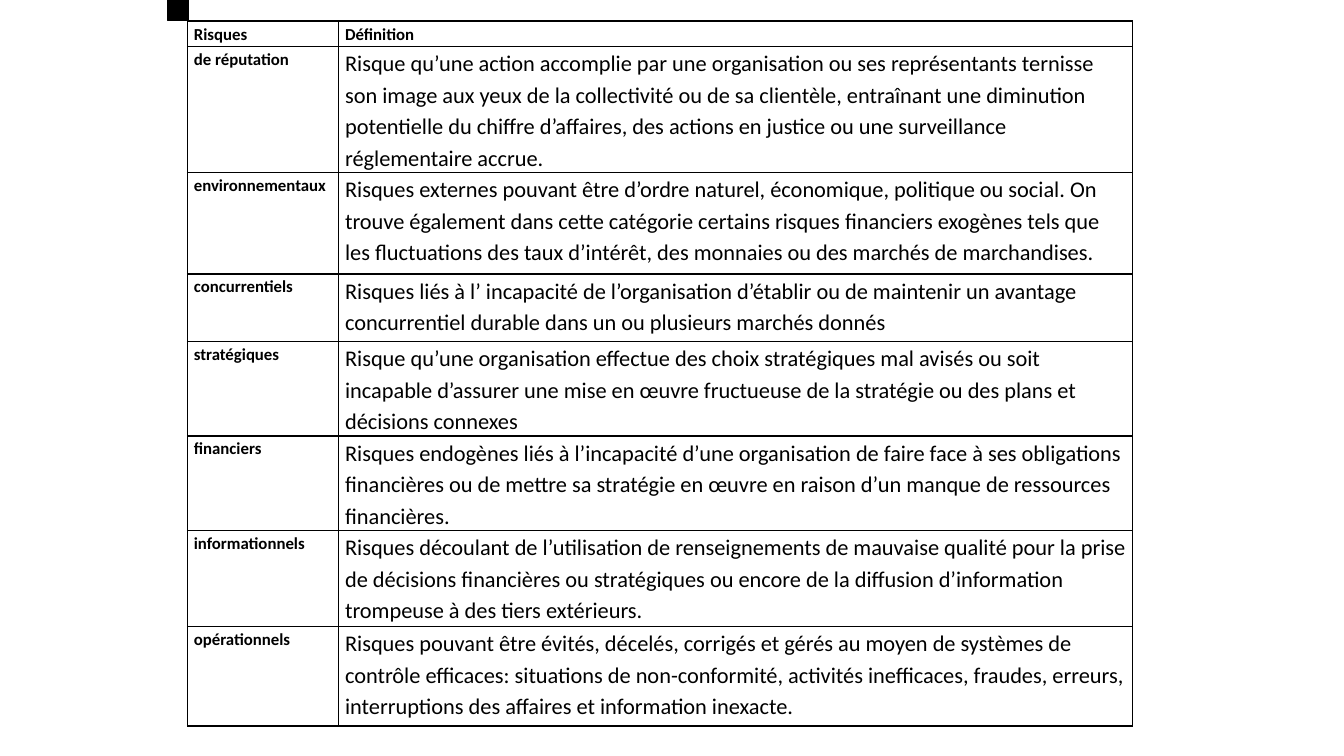
from dataclasses import dataclass

from lxml.etree import SubElement
from pptx import Presentation
from pptx.dml.color import RGBColor
from pptx.enum.shapes import MSO_SHAPE as Preset
from pptx.oxml.ns import qn
from pptx.util import Pt


@dataclass(frozen=True)
class Theme:
    font: str = "Calibri"
    ink: str = "000000"
    paper: str = "FFFFFF"
    label_size: int = 12
    definition_size: int = 16
    line_spacing: float = 1.15
    border: float = 1
    side_margin: float = 4.5


THEME = Theme()

HEADINGS = ("Risques", "Définition")
HEADING_HEIGHT = 18
COLUMN_WIDTHS = (108, 567)

# Risk, definition, row height in points
RISKS = [
    ("de réputation",
     "Risque qu’une action accomplie par une organisation ou ses représentants "
     "ternisse son image aux yeux de la collectivité ou de sa clientèle, "
     "entraînant une diminution potentielle du chiffre d’affaires, des actions "
     "en justice ou une surveillance réglementaire accrue.", 88.5),
    ("environnementaux",
     "Risques externes pouvant être d’ordre naturel, économique, politique ou "
     "social. On trouve également dans cette catégorie certains risques "
     "financiers exogènes tels que les fluctuations des taux d’intérêt, des "
     "monnaies ou des marchés de marchandises.", 72.75),
    ("concurrentiels",
     "Risques liés à l’ incapacité de l’organisation d’établir ou de maintenir "
     "un avantage concurrentiel durable dans un ou plusieurs marchés donnés",
     48.25),
    ("stratégiques",
     "Risque qu’une organisation effectue des choix stratégiques mal avisés ou "
     "soit incapable d’assurer une mise en œuvre fructueuse de la stratégie ou "
     "des plans et décisions connexes", 66.25),
    ("financiers",
     "Risques endogènes liés à l’incapacité d’une organisation de faire face à "
     "ses obligations financières ou de mettre sa stratégie en œuvre en raison "
     "d’un manque de ressources financières.", 66.25),
    ("informationnels",
     "Risques découlant de l’utilisation de renseignements de mauvaise qualité "
     "pour la prise de décisions financières ou stratégiques ou encore de la "
     "diffusion d’information trompeuse à des tiers extérieurs.", 68.5),
    ("opérationnels",
     "Risques pouvant être évités, décelés, corrigés et gérés au moyen de "
     "systèmes de contrôle efficaces: situations de non-conformité, activités "
     "inefficaces, fraudes, erreurs, interruptions des affaires et information "
     "inexacte.", 71.25),
]


def color(value):
    return RGBColor.from_string(value)


def add_borders(cell):
    properties = cell._tc.get_or_add_tcPr()
    for side in ("lnL", "lnR", "lnT", "lnB"):
        edge = SubElement(properties, qn(f"a:{side}"), w=str(Pt(THEME.border)))
        fill = SubElement(edge, qn("a:solidFill"))
        SubElement(fill, qn("a:srgbClr"), val=THEME.ink)


def fill_cell(cell, text, size, bold):
    cell.margin_left = cell.margin_right = Pt(THEME.side_margin)
    cell.margin_top = cell.margin_bottom = 0
    add_borders(cell)
    cell.fill.solid()
    cell.fill.fore_color.rgb = color(THEME.paper)

    cell.text_frame.text = text
    paragraph = cell.text_frame.paragraphs[0]
    paragraph.line_spacing = THEME.line_spacing
    font = paragraph.runs[0].font
    font.name = THEME.font
    font.size = Pt(size)
    font.bold = bold
    font.color.rgb = color(THEME.ink)


def add_risk_table(slide, left, top):
    heights = [HEADING_HEIGHT] + [height for _, _, height in RISKS]
    table = slide.shapes.add_table(
        len(heights), len(COLUMN_WIDTHS), Pt(left), Pt(top),
        Pt(sum(COLUMN_WIDTHS)), Pt(sum(heights))).table
    table.horz_banding = False
    for column, width in zip(table.columns, COLUMN_WIDTHS):
        column.width = Pt(width)
    for row, height in zip(table.rows, heights):
        row.height = Pt(height)

    # Heading row
    for cell, heading in zip(table.rows[0].cells, HEADINGS):
        fill_cell(cell, heading, THEME.label_size, True)

    # One row per risk
    for index, (risk, definition, _) in enumerate(RISKS, start=1):
        fill_cell(table.cell(index, 0), risk, THEME.label_size, True)
        fill_cell(table.cell(index, 1), definition, THEME.definition_size, False)


def add_corner_block(slide, left, top, width, height):
    block = slide.shapes.add_shape(
        Preset.RECTANGLE, Pt(left), Pt(top), Pt(width), Pt(height))
    block.shadow.inherit = False
    block.fill.solid()
    block.fill.fore_color.rgb = color(THEME.ink)
    block.line.color.rgb = color(THEME.ink)
    block.line.width = Pt(0.75)


def main():
    deck = Presentation()
    deck.slide_width, deck.slide_height = Pt(960), Pt(540)
    slide = deck.slides.add_slide(deck.slide_layouts[6])
    add_risk_table(slide, left=134, top=15)
    add_corner_block(slide, left=120, top=-14.5, width=14.5, height=29)
    deck.save("out.pptx")


if __name__ == "__main__":
    main()
